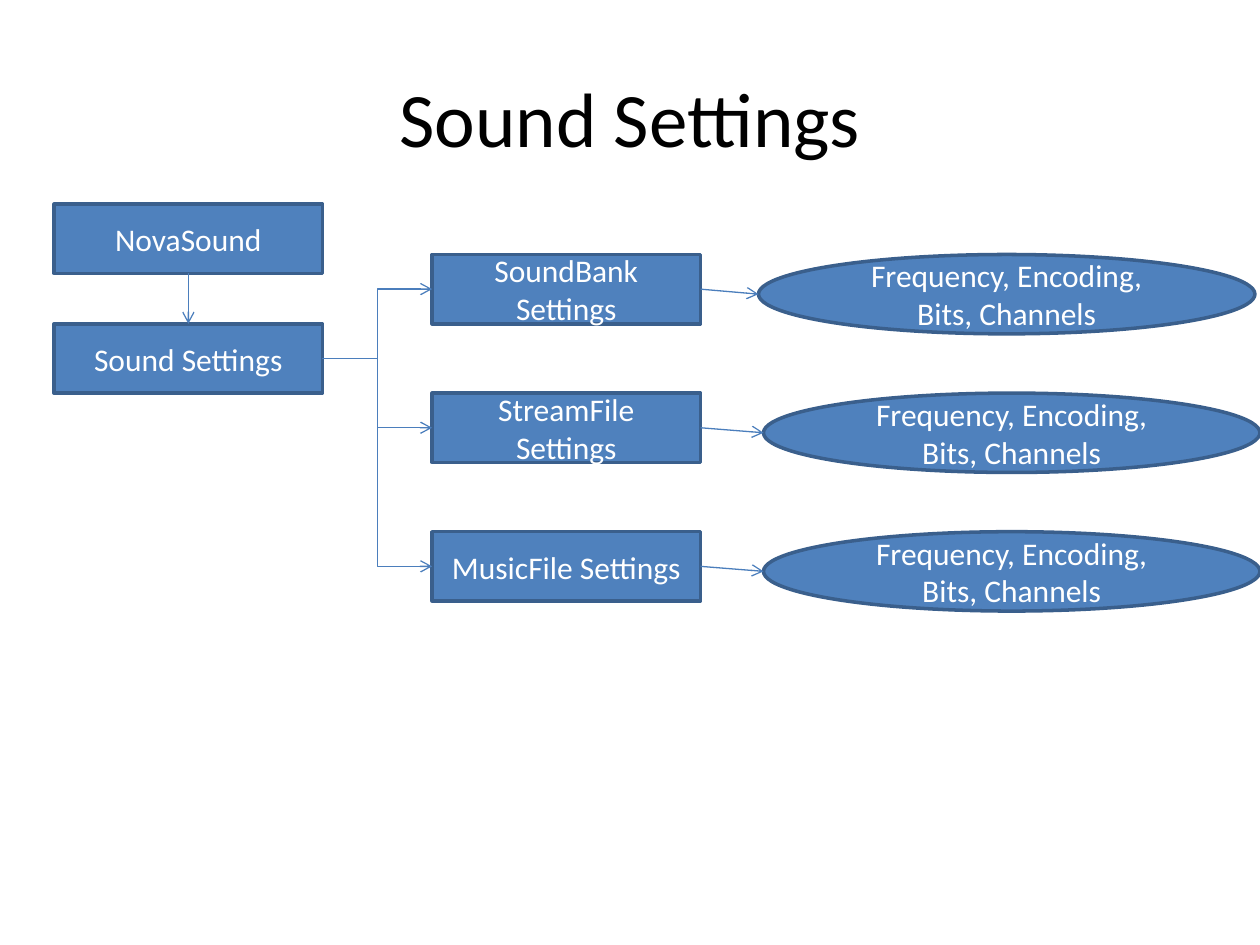
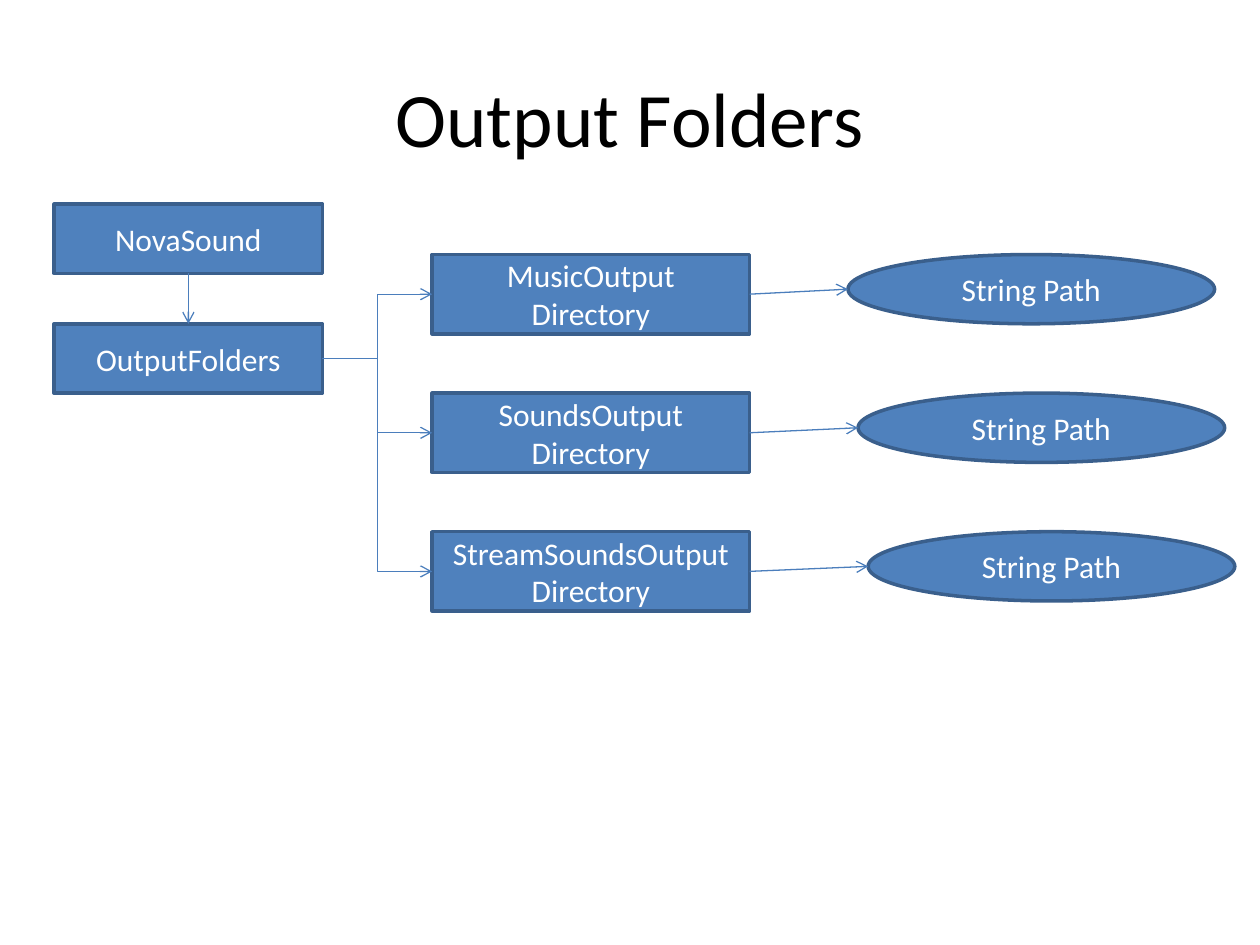
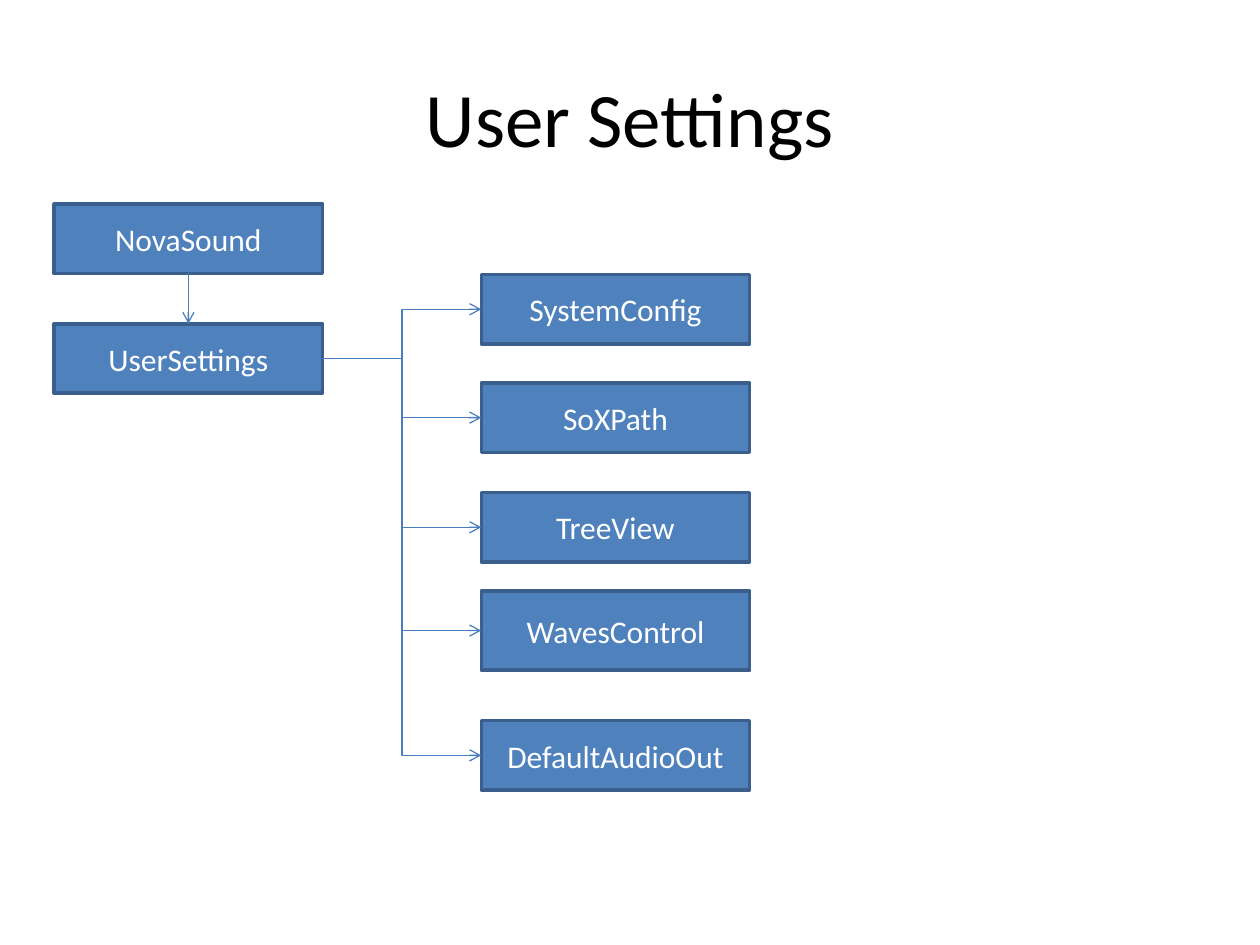
from dataclasses import dataclass

from lxml import etree
from pptx import Presentation
from pptx import util as u
from pptx.dml import color
from pptx.enum import shapes, text
from pptx.oxml import ns


@dataclass(frozen=True)
class Theme:
    font: str = "Calibri"
    title_size: int = 44
    label_size: int = 18
    title_color: str = "000000"
    label_color: str = "FFFFFF"
    fill: str = "4F81BD"
    outline: str = "3A5F8C"
    arrow: str = "4B7EBC"
    outline_width: float = 2
    arrow_width: float = 0.75


# Shared layout, in inches
ROOT_LEFT, ROOT_TOP, SECTION_TOP = 0.43, 1.62, 2.57
BOX_WIDTH, BOX_HEIGHT, TALL_HEIGHT = 2.13, 0.55, 0.63
ROW_TOP, ROW_PITCH = 2.02, 1.1
BRANCH_LEFT = 3.43


class Diagram:
    """Holds the style and the current slide."""

    def __init__(self, deck, theme):
        self.deck, self.theme, self.page = deck, theme, None

    def new_page(self, title):
        self.page = self.deck.slides.add_slide(self.deck.slide_layouts[6])
        box = self.page.shapes.add_textbox(
            u.Inches(0.5), u.Inches(0.3), u.Inches(9), u.Inches(1.25))
        self.label(box, title, self.theme.title_size, self.theme.title_color)

    def label(self, box, words, size, rgb):
        frame = box.text_frame
        frame.text = words
        frame.word_wrap = True
        frame.vertical_anchor = text.MSO_ANCHOR.MIDDLE
        for para in frame.paragraphs:
            para.alignment = text.PP_ALIGN.CENTER
            para.font.name = self.theme.font
            para.font.size = u.Pt(size)
            para.font.color.rgb = color.RGBColor.from_string(rgb)

    def node(self, words, left, top, width=BOX_WIDTH, height=BOX_HEIGHT,
             kind=shapes.MSO_SHAPE.RECTANGLE):
        box = self.page.shapes.add_shape(
            kind, *(u.Inches(n) for n in (left, top, width, height)))
        box.shadow.inherit = False
        box.fill.solid()
        box.fill.fore_color.rgb = color.RGBColor.from_string(self.theme.fill)
        box.line.color.rgb = color.RGBColor.from_string(self.theme.outline)
        box.line.width = u.Pt(self.theme.outline_width)
        self.label(box, words, self.theme.label_size, self.theme.label_color)
        return box

    def oval(self, words, left, top, width, height):
        return self.node(words, left, top, width, height,
                         shapes.MSO_SHAPE.OVAL)

    def arrow(self, start, end, kind=shapes.MSO_CONNECTOR.STRAIGHT):
        link = self.page.shapes.add_connector(kind, *start, *end)
        link.line.color.rgb = color.RGBColor.from_string(self.theme.arrow)
        link.line.width = u.Pt(self.theme.arrow_width)
        # Open arrowhead, no shadow
        properties = link._element.spPr
        etree.SubElement(properties.find(ns.qn("a:ln")), ns.qn("a:tailEnd"),
                         type="arrow")
        etree.SubElement(properties, ns.qn("a:effectLst"))

    def across(self, source, target, kind=shapes.MSO_CONNECTOR.STRAIGHT):
        """Arrow from the right side of one box to the left side of another."""
        self.arrow((source.left + source.width, source.top + source.height // 2),
                   (target.left, target.top + target.height // 2), kind)

    def branch(self, source, target):
        self.across(source, target, shapes.MSO_CONNECTOR.ELBOW)

    def trunk(self, section):
        """Root box with the section box below it."""
        root = self.node("NovaSound", ROOT_LEFT, ROOT_TOP)
        box = self.node(section, ROOT_LEFT, SECTION_TOP)
        middle = root.left + root.width // 2
        self.arrow((middle, root.top + root.height), (middle, box.top))
        return box

    def rows(self, section, labels, box_size, value, oval_lefts, oval_size):
        """Branches of a section, each leading to an oval with its value."""
        for row, (label, left) in enumerate(zip(labels, oval_lefts)):
            top = ROW_TOP + row * ROW_PITCH
            box = self.node(label, BRANCH_LEFT, top, *box_size)
            self.branch(section, box)
            self.across(box, self.oval(value, left, top, *oval_size))


deck = Presentation()
deck.slide_width, deck.slide_height = u.Inches(10), u.Inches(7.5)
diagram = Diagram(deck, Theme())

# Slide 1: sound settings
diagram.new_page("Sound Settings")
diagram.rows(
    diagram.trunk("Sound Settings"),
    ["SoundBank Settings", "StreamFile Settings", "MusicFile Settings"],
    (BOX_WIDTH, BOX_HEIGHT),
    "Frequency, Encoding, Bits, Channels",
    [6.02, 6.06, 6.06], (3.94, TALL_HEIGHT))

# Slide 2: output folders
diagram.new_page("Output Folders")
diagram.rows(
    diagram.trunk("OutputFolders"),
    ["MusicOutput\nDirectory", "SoundsOutput\nDirectory",
     "StreamSoundsOutputDirectory"],
    (2.52, TALL_HEIGHT),
    "String Path",
    [6.73, 6.81, 6.89], (2.91, BOX_HEIGHT))

# Slide 3: user settings
diagram.new_page("User Settings")
user_settings = diagram.trunk("UserSettings")
for label, top, height in [
        ("SystemConfig", 2.18, BOX_HEIGHT),
        ("SoXPath", 3.04, BOX_HEIGHT),
        ("TreeView", 3.91, BOX_HEIGHT),
        ("WavesControl", 4.69, TALL_HEIGHT),
        ("DefaultAudioOut", 5.72, BOX_HEIGHT)]:
    diagram.branch(user_settings,
                   diagram.node(label, 3.82, top, height=height))

deck.save("out.pptx")
